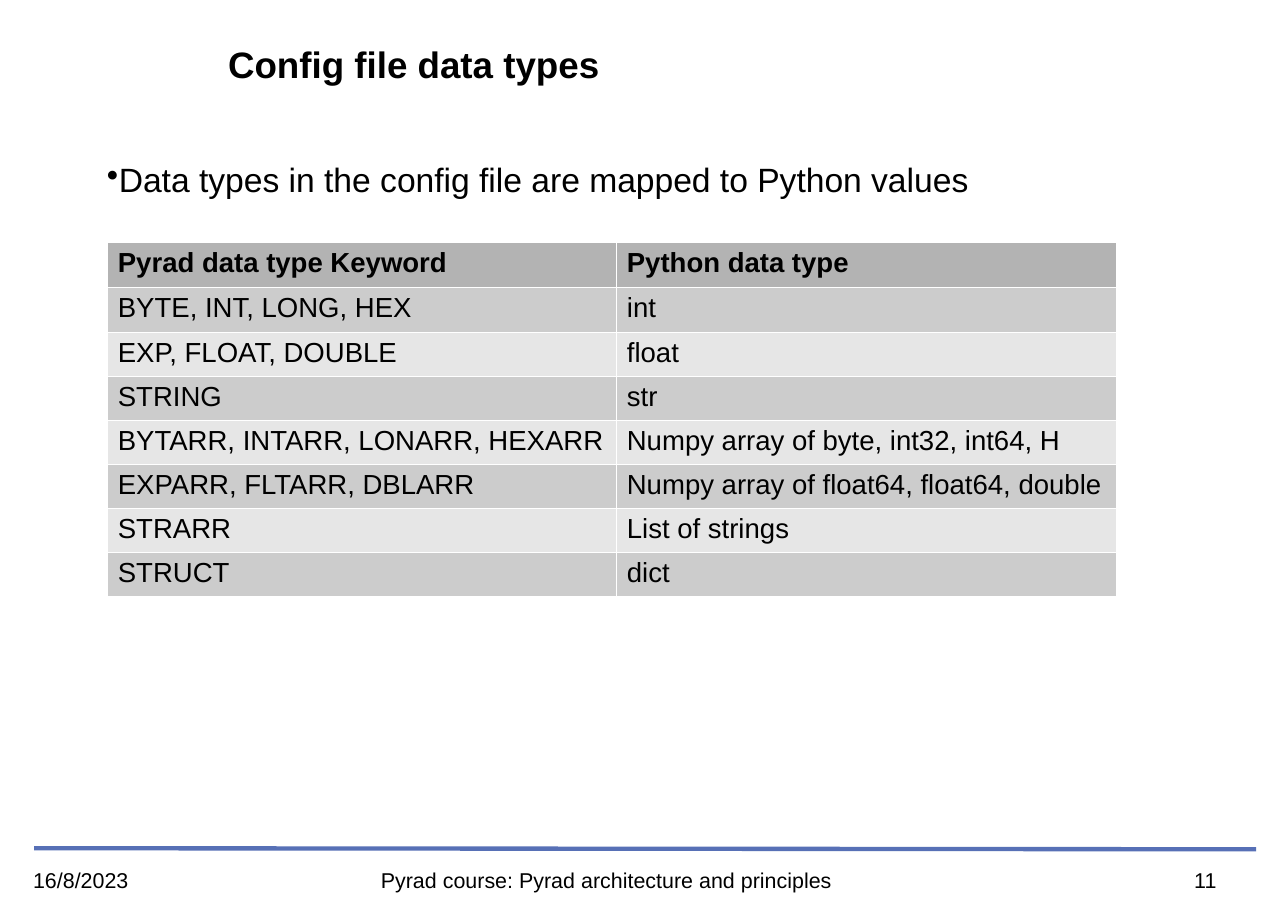
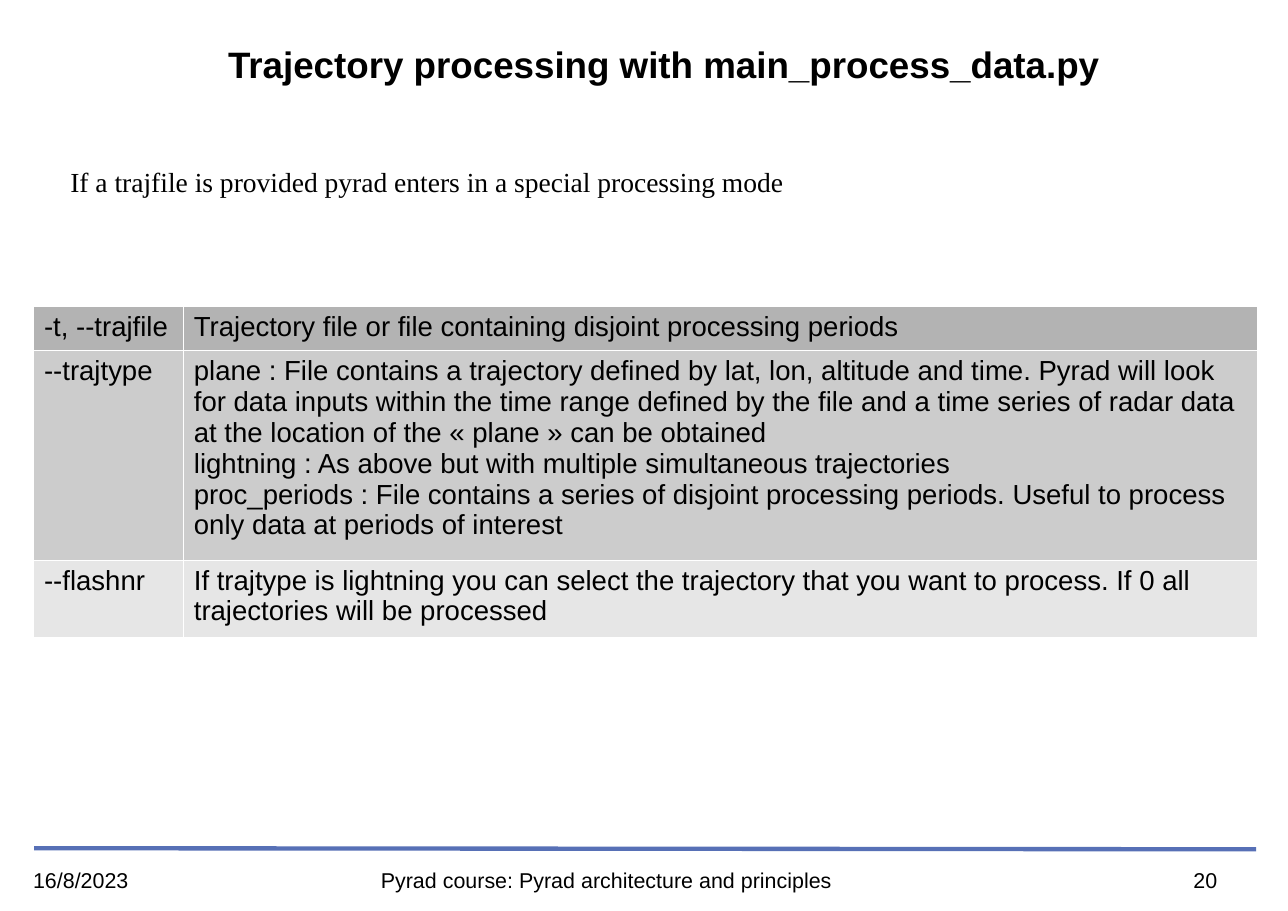
"""Build two Pyrad course slides, each with a title, a lead sentence and a table."""

from dataclasses import dataclass

from pptx import Presentation
from pptx.dml.color import RGBColor
from pptx.enum.shapes import MSO_CONNECTOR
from pptx.enum.text import MSO_ANCHOR as Anchor, PP_ALIGN as Align
from pptx.oxml import parse_xml
from pptx.oxml.ns import nsdecls
from pptx.slide import Slide
from pptx.text.text import TextFrame
from pptx.util import Inches, Pt

BLACK = RGBColor(0x00, 0x00, 0x00)
WHITE = RGBColor(0xFF, 0xFF, 0xFF)
RULE_BLUE = RGBColor(0x57, 0x70, 0xB6)
HEADER_GREY = RGBColor(0xB3, 0xB3, 0xB3)
BAND_GREYS = (RGBColor(0xCC, 0xCC, 0xCC), RGBColor(0xE6, 0xE6, 0xE6))

SANS = "Arial"
SERIF = "Times New Roman"
BORDER_WIDTH = Pt(0.06)
FOOTER_TOP = 7.87
COURSE = "Pyrad course: Pyrad architecture and principles"
DATE = "16/8/2023"


@dataclass(frozen=True)
class Box:
    left: float
    top: float
    width: float
    height: float


@dataclass(frozen=True)
class TableSpec:
    left: float
    top: float
    column_widths: tuple[float, ...]
    row_heights: tuple[float, ...]
    rows: tuple[tuple[str, ...], ...]
    bold_header: bool = False


TITLE_BOX = Box(2.07, 0.27, 9.24, 0.67)
COURSE_BOX = Box(1.49, FOOTER_TOP, 8.03, 0.39)
NUMBER_BOX = Box(10.37, FOOTER_TOP, 1.14, 0.23)
DATE_BOX = Box(0.3, FOOTER_TOP, 2.72, 0.39)

DATA_TYPES = TableSpec(
    left=0.97,
    top=2.2,
    column_widths=(4.62, 4.54),
    row_heights=(0.41,) + (0.38,) * 7,
    rows=(
        ("Pyrad data type Keyword", "Python data type"),
        ("BYTE, INT, LONG, HEX", "int"),
        ("EXP, FLOAT, DOUBLE", "float"),
        ("STRING", "str"),
        ("BYTARR, INTARR, LONARR, HEXARR", "Numpy array of byte, int32, int64, H"),
        ("EXPARR, FLTARR, DBLARR", "Numpy array of float64, float64, double"),
        ("STRARR", "List of strings"),
        ("STRUCT", "dict"),
    ),
    bold_header=True,
)

TRAJECTORY_OPTIONS = TableSpec(
    left=0.3,
    top=2.78,
    column_widths=(1.36, 9.75),
    row_heights=(0.38, 1.79, 0.65),
    rows=(
        ("-t, --trajfile", "Trajectory file or file containing disjoint processing periods"),
        (
            "--trajtype",
            "plane : File contains a trajectory defined by lat, lon, altitude and time. "
            "Pyrad will look for data inputs within the time range defined by the file "
            "and a time series of radar data at the location of the « plane » can be obtained\n"
            "lightning : As above but with multiple simultaneous trajectories\n"
            "proc_periods : File contains a series of disjoint processing periods. "
            "Useful to process only data at periods of interest",
        ),
        (
            "--flashnr",
            "If trajtype is lightning you can select the trajectory that you want to process. "
            "If 0 all trajectories will be processed",
        ),
    ),
)


def write_text(
    frame: TextFrame,
    text: str,
    *,
    size: float = 18,
    font: str = SANS,
    bold: bool = False,
    align: Align = Align.LEFT,
    line_spacing: float = 1.0,
    space_before: float = 0,
    bullet_indent: float | None = None,
) -> None:
    """Fill a text frame, one paragraph for each line of text."""
    frame.text = text
    for paragraph in frame.paragraphs:
        paragraph.alignment = align
        paragraph.line_spacing = line_spacing
        paragraph.space_before = Pt(space_before)
        if bullet_indent is not None:
            properties = paragraph._p.get_or_add_pPr()
            properties.set("marL", str(Inches(bullet_indent)))
            properties.set("indent", "0")
            properties.append(parse_xml(f'<a:buChar {nsdecls("a")} char="•"/>'))
        for run in paragraph.runs:
            run.font.size = Pt(size)
            run.font.name = font
            run.font.bold = bold
            run.font.color.rgb = BLACK


def add_text(
    slide: Slide,
    box: Box,
    text: str,
    *,
    anchor: Anchor = Anchor.TOP,
    insets: tuple[float, float] = (0, 0),
    **text_format,
) -> None:
    """Add a wrapping text box with horizontal and vertical insets."""
    shape = slide.shapes.add_textbox(
        Inches(box.left), Inches(box.top), Inches(box.width), Inches(box.height)
    )
    frame = shape.text_frame
    frame.word_wrap = True
    frame.vertical_anchor = anchor
    frame.margin_left = frame.margin_right = Inches(insets[0])
    frame.margin_top = frame.margin_bottom = Inches(insets[1])
    write_text(frame, text, **text_format)


def add_table(slide: Slide, spec: TableSpec) -> None:
    """Add a table with a dark header, grey bands and hairline white borders."""
    table = slide.shapes.add_table(
        len(spec.rows),
        len(spec.column_widths),
        Inches(spec.left),
        Inches(spec.top),
        Inches(sum(spec.column_widths)),
        Inches(sum(spec.row_heights)),
    ).table
    table.first_row = table.horz_banding = False
    for column, width in zip(table.columns, spec.column_widths):
        column.width = Inches(width)
    for row_index, texts in enumerate(spec.rows):
        table.rows[row_index].height = Inches(spec.row_heights[row_index])
        is_header = row_index == 0
        color = HEADER_GREY if is_header else BAND_GREYS[(row_index - 1) % 2]
        for column_index, text in enumerate(texts):
            cell = table.cell(row_index, column_index)
            cell.margin_left = cell.margin_right = Inches(0.1)
            cell.margin_top = cell.margin_bottom = Inches(0.05)
            cell.fill.solid()
            cell.fill.fore_color.rgb = color
            write_text(cell.text_frame, text, bold=is_header and spec.bold_header)
            properties = cell._tc.get_or_add_tcPr()
            for position, side in enumerate(("lnL", "lnR", "lnT", "lnB")):
                border = parse_xml(
                    f'<a:{side} {nsdecls("a")} w="{BORDER_WIDTH}"><a:solidFill>'
                    f'<a:srgbClr val="{WHITE}"/></a:solidFill></a:{side}>'
                )
                properties.insert(position, border)


def add_course_slide(presentation: Presentation, title: str, number: int) -> Slide:
    """Add a blank slide with the shared title, rule and footer."""
    slide = presentation.slides.add_slide(presentation.slide_layouts[6])
    rule = slide.shapes.add_connector(
        MSO_CONNECTOR.STRAIGHT, Inches(0.31), Inches(7.7), Inches(11.4), Inches(7.71)
    )
    rule.line.color.rgb = RULE_BLUE
    rule.line.width = Pt(2.83)
    rule._element.spPr.append(parse_xml(f'<a:effectLst {nsdecls("a")}/>'))
    add_text(
        slide, TITLE_BOX, title, anchor=Anchor.MIDDLE, size=24, bold=True, line_spacing=0.9
    )
    for box, text, align in (
        (COURSE_BOX, COURSE, Align.CENTER),
        (NUMBER_BOX, str(number), Align.CENTER),
        (DATE_BOX, DATE, Align.LEFT),
    ):
        add_text(slide, box, text, size=14, align=align)
    return slide


def main() -> None:
    """Create and save the presentation."""
    presentation = Presentation()
    presentation.slide_width = Inches(11.69)
    presentation.slide_height = Inches(8.27)

    slide = add_course_slide(presentation, "Config file data types", 11)
    add_text(
        slide,
        Box(0.3, 1.48, 11.11, 5.96),
        "Data types in the config file are mapped to Python values",
        size=22,
        line_spacing=0.9,
        space_before=9.7,
        bullet_indent=0.67,
    )
    add_table(slide, DATA_TYPES)

    slide = add_course_slide(presentation, "Trajectory processing with main_process_data.py", 20)
    add_table(slide, TRAJECTORY_OPTIONS)
    add_text(
        slide,
        Box(0.54, 1.45, 6.7, 0.38),
        "If a trajfile is provided pyrad enters in a special processing mode",
        font=SERIF,
        insets=(0.1, 0.05),
    )

    presentation.save("out.pptx")


if __name__ == "__main__":
    main()
